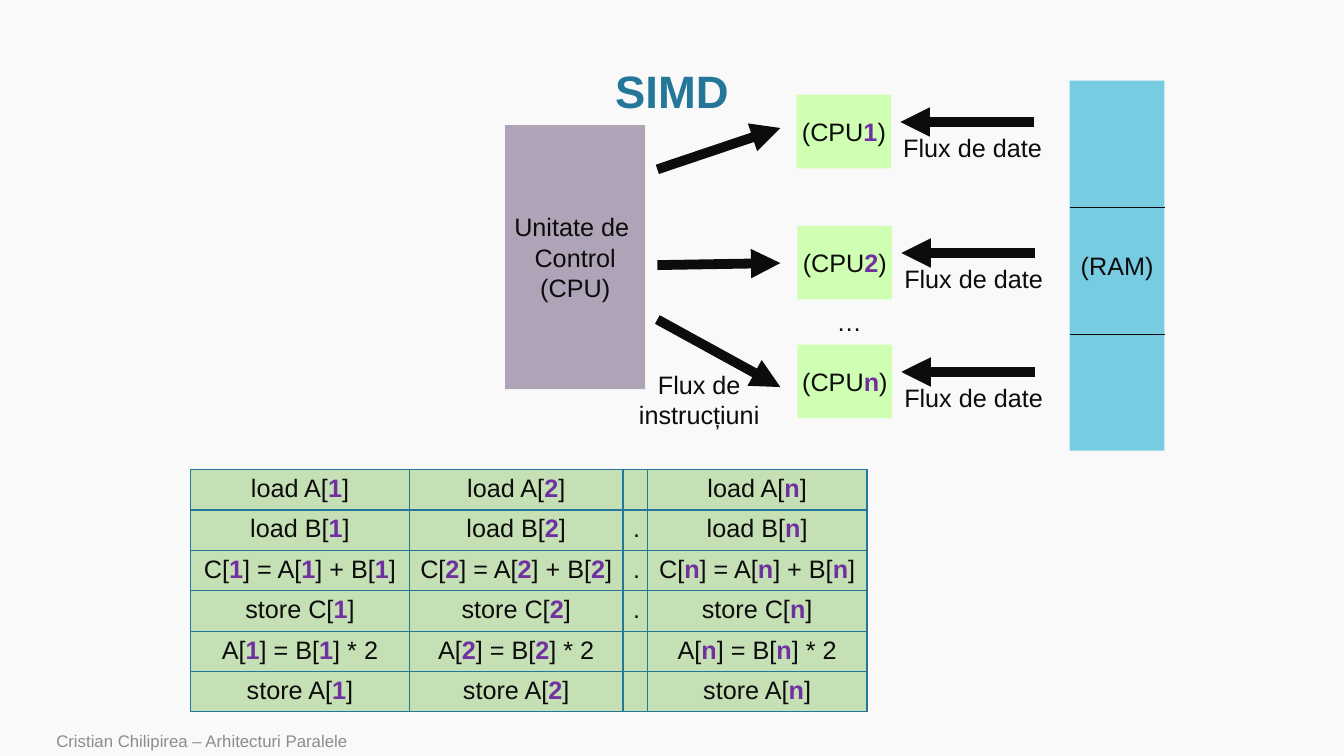
"""Build a slide that explains the SIMD architecture."""
from pptx import Presentation
from pptx import util as u
from pptx.dml.color import RGBColor
from pptx.enum import shapes, text
from pptx.oxml import ns, xmlchemy

BACKGROUND = RGBColor(0xF9, 0xF9, 0xF9)
TEAL = RGBColor(0x24, 0x77, 0x98)
INK = RGBColor(0x0C, 0x0C, 0x0C)
PURPLE = RGBColor(0x70, 0x30, 0xA0)
GREY = RGBColor(0x8C, 0x8C, 0x8C)
LIME = RGBColor(0xCF, 0xFF, 0xB3)
SKY = RGBColor(0x78, 0xCC, 0xE2)
MAUVE = RGBColor(0xAE, 0xA3, 0xB7)
SAGE = RGBColor(0xC5, 0xE0, 0xB4)

CENTER = text.PP_ALIGN.CENTER
LEFT = text.PP_ALIGN.LEFT
MIDDLE = text.MSO_ANCHOR.MIDDLE

CPUS = [("1", 7.9, 0.94), ("2", 7.91, 2.24), ("n", 7.91, 3.42)]
INSTRUCTION_ARROWS = [(1.68, 1.27), (2.63, 2.61), (3.17, 3.84)]
STEPS = ["load A[#]", "load B[#]", "C[#] = A[#] + B[#]",
         "store C[#]", "A[#] = B[#] * 2", "store A[#]"]
DOTS = ["", ".", ".", ".", "", ""]
COLUMN_WIDTHS = [2.17, 2.12, 0.24, 2.18]


def add_span(para, words, size=18, color=INK, bold=False):
    """Add one formatted run to a paragraph."""
    span = para.add_run()
    span.text = words
    span.font.name = "Arial"
    span.font.size = u.Pt(size)
    span.font.bold = bold
    span.font.color.rgb = color


def write(frame, lines, align=CENTER, index="", **style):
    """Write lines into a frame, with the bold index in place of each #."""
    for number, line in enumerate(lines):
        para = frame.paragraphs[0] if number == 0 else frame.add_paragraph()
        para.alignment = align
        for position, piece in enumerate(line.split("#")):
            if position:
                add_span(para, index, color=PURPLE, bold=True)
            add_span(para, piece, **style)


def add_title(page, words):
    """Move and fill the title placeholder."""
    title = page.shapes.title
    title.left, title.top = u.Inches(2.01), u.Inches(0.68)
    title.width, title.height = u.Inches(9.31), u.Inches(0.5)
    frame = title.text_frame
    frame.auto_size = text.MSO_AUTO_SIZE.NONE
    frame.vertical_anchor = MIDDLE
    write(frame, [words], size=32.4, color=TEAL, bold=True)
    frame.paragraphs[0].line_spacing = 0.9


def add_label(page, left, top, width, height, lines, align=LEFT):
    """Add a text box that fits its unwrapped lines."""
    box = page.shapes.add_textbox(*map(u.Inches, (left, top, width, height)))
    box.text_frame.word_wrap = False
    box.text_frame.auto_size = text.MSO_AUTO_SIZE.SHAPE_TO_FIT_TEXT
    write(box.text_frame, lines, align)


def add_block(page, left, top, width, height, fill, lines, index=""):
    """Add a filled rectangle with centred text."""
    box = page.shapes.add_shape(shapes.MSO_SHAPE.RECTANGLE,
                                *map(u.Inches, (left, top, width, height)))
    box.shadow.inherit = False
    box.fill.solid()
    box.fill.fore_color.rgb = fill
    box.line.fill.background()
    box.text_frame.word_wrap = False
    box.text_frame.vertical_anchor = MIDDLE
    write(box.text_frame, lines, index=index)


def add_line(page, x1, y1, x2, y2, width=7, arrow=True):
    """Add a straight line, with an arrowhead at its end if wanted."""
    line = page.shapes.add_connector(shapes.MSO_CONNECTOR.STRAIGHT,
                                     *map(u.Inches, (x1, y1, x2, y2)))
    line.line.color.rgb = INK
    line.line.width = u.Pt(width)
    properties = line._element.spPr
    if arrow:
        head = xmlchemy.OxmlElement("a:tailEnd")
        head.set("type", "triangle")
        properties.find(ns.qn("a:ln")).append(head)
    properties.append(xmlchemy.OxmlElement("a:effectLst"))


def add_borders(cell):
    """Draw a thin line on each side of a table cell."""
    properties = cell._tc.get_or_add_tcPr()
    for side in "LRTB":
        border = xmlchemy.OxmlElement(f"a:ln{side}")
        border.set("w", str(u.Pt(1)))
        fill = xmlchemy.OxmlElement("a:solidFill")
        color = xmlchemy.OxmlElement("a:srgbClr")
        color.set("val", str(TEAL))
        fill.append(color)
        border.append(fill)
        properties.append(border)


def add_program(page):
    """Add the table of steps that each processor runs."""
    table = page.shapes.add_table(
        len(STEPS), len(COLUMN_WIDTHS), u.Inches(1.89), u.Inches(4.66),
        u.Inches(sum(COLUMN_WIDTHS)), u.Inches(2.4)).table
    table.first_row = table.horz_banding = False
    for column, width in zip(table.columns, COLUMN_WIDTHS):
        column.width = u.Inches(width)
    for row, (step, dot) in enumerate(zip(STEPS, DOTS)):
        table.rows[row].height = u.Inches(0.4)
        for column, index in enumerate(["1", "2", "", "n"]):
            cell = table.cell(row, column)
            add_borders(cell)
            cell.fill.solid()
            cell.fill.fore_color.rgb = SAGE
            words = step if index else dot
            if words:
                write(cell.text_frame, [words], index=index)


def add_footer(page, words):
    """Add the author line at the foot of the page."""
    box = page.shapes.add_textbox(u.Inches(0.46), u.Inches(7.22),
                                  u.Inches(9.82), u.Inches(0.28))
    box.text_frame.word_wrap = True
    box.text_frame.vertical_anchor = text.MSO_ANCHOR.BOTTOM
    write(box.text_frame, [words], LEFT, size=12, color=GREY)


def main():
    """Build and save the deck."""
    deck = Presentation()
    deck.slide_width, deck.slide_height = u.Inches(13.33), u.Inches(7.5)
    page = deck.slides.add_slide(deck.slide_layouts[5])
    page.background.fill.solid()
    page.background.fill.fore_color.rgb = BACKGROUND

    add_title(page, "SIMD")
    add_label(page, 6.23, 3.61, 1.41, 0.71, ["Flux de", "instrucțiuni"], CENTER)
    add_block(page, 10.61, 0.8, 0.94, 3.67, SKY, ["(RAM)"])
    add_block(page, 5.01, 1.24, 1.39, 2.62, MAUVE,
              ["Unitate de ", "Control", "(CPU)"])
    for index, left, top in CPUS:
        add_label(page, left + 0.96, top + 0.32, 1.59, 0.4, ["Flux de date"])
        add_block(page, left, top, 0.94, 0.73, LIME, ["(CPU#)"], index)
        add_line(page, left + 2.36, top + 0.27, left + 1.03, top + 0.27)
    for start, end in INSTRUCTION_ARROWS:
        add_line(page, 6.52, start, 7.74, end)
    for y in (2.06, 3.32):
        add_line(page, 10.61, y, 11.55, y, width=1, arrow=False)
    add_program(page)
    add_label(page, 8.2, 2.99, 0.45, 0.4, ["…"])
    add_footer(page, "Cristian Chilipirea – Arhitecturi Paralele")
    deck.save("out.pptx")


if __name__ == "__main__":
    main()
